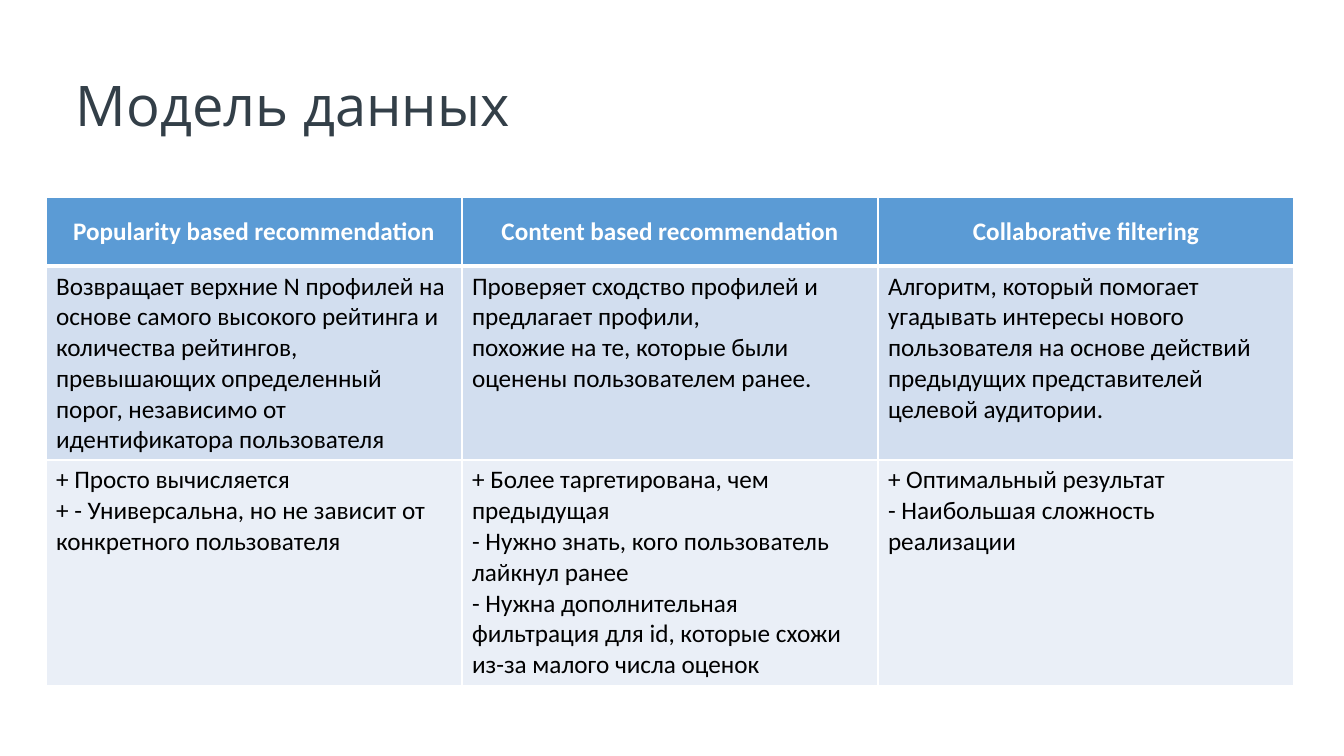
from dataclasses import dataclass

from lxml import etree
from pptx import Presentation
from pptx import util as u
from pptx.dml.color import RGBColor
from pptx.enum import text
from pptx.oxml.ns import qn

PX = 914400 / 100.8


@dataclass(frozen=True)
class Theme:
    title: dict
    header: dict
    body: dict
    fills: tuple
    border: str


THEME = Theme(
    title={"name": "Open Sans", "size": u.Pt(40), "bold": False, "color": "333F48"},
    header={"name": "Calibri", "size": u.Pt(18), "bold": True, "color": "FFFFFF"},
    body={"name": "Calibri", "size": u.Pt(18), "bold": False, "color": "000000"},
    fills=("5B9BD5", "D2DEEF", "EAEFF7"),
    border="FFFFFF",
)

TITLE = "Модель данных"
ROW_HEIGHTS = (69, 194, 226)
COLUMN_WIDTH = 416
# Each cell is a list of paragraphs.
MODELS = [
    [
        ["Popularity based recommendation"],
        ["Content based recommendation"],
        ["Collaborative filtering"],
    ],
    [
        ["Возвращает верхние N профилей на основе самого высокого рейтинга "
         "и количества рейтингов, ",
         "превышающих определенный порог, независимо от "
         "идентификатора пользователя"],
        ["Проверяет сходство профилей и предлагает профили, ",
         "похожие на те, которые были оценены пользователем ранее. "],
        ["Алгоритм, который помогает угадывать интересы нового пользователя "
         "на основе действий предыдущих представителей целевой аудитории."],
    ],
    [
        ["+ Просто вычисляется",
         "+ - Универсальна, но не зависит от конкретного пользователя"],
        ["+ Более таргетирована, чем предыдущая",
         "- Нужно знать, кого пользователь лайкнул ранее",
         "- Нужна дополнительная фильтрация для id, которые схожи "
         "из-за малого числа оценок"],
        ["+ Оптимальный результат",
         "- Наибольшая сложность реализации"],
    ],
]


def px(*lengths):
    return [u.Emu(round(n * PX)) for n in lengths]


def write(tf, paragraphs, style, align=text.PP_ALIGN.LEFT):
    for i, line in enumerate(paragraphs):
        p = tf.add_paragraph() if i else tf.paragraphs[0]
        p.alignment = align
        r = p.add_run()
        r.text = line
        for key, value in style.items():
            if key == "color":
                r.font.color.rgb = RGBColor.from_string(value)
            else:
                setattr(r.font, key, value)


def add_title(s, words, box):
    tf = s.shapes.add_textbox(*px(*box)).text_frame
    tf.word_wrap = True
    for side in ("left", "top", "right", "bottom"):
        setattr(tf, f"margin_{side}", 0)
    write(tf, [words], THEME.title)


def set_borders(cell, widths):
    tc_pr = cell._tc.get_or_add_tcPr()
    for i, (side, points) in enumerate(widths.items()):
        ln = etree.Element(qn(f"a:ln{side}"), w=str(u.Pt(points)))
        fill = etree.SubElement(ln, qn("a:solidFill"))
        etree.SubElement(fill, qn("a:srgbClr"), val=THEME.border)
        tc_pr.insert(i, ln)  # borders precede the fill


def add_model_table(s, rows, left, top):
    columns = len(rows[0])
    box = px(left, top, columns * COLUMN_WIDTH, sum(ROW_HEIGHTS))
    table = s.shapes.add_table(len(rows), columns, *box).table
    for column in table.columns:
        column.width = px(COLUMN_WIDTH)[0]
    for y, row in enumerate(rows):
        table.rows[y].height = px(ROW_HEIGHTS[y])[0]
        for x, paragraphs in enumerate(row):
            cell = table.cell(y, x)
            cell.fill.solid()
            cell.fill.fore_color.rgb = RGBColor.from_string(THEME.fills[y])
            widths = {"L": 1, "R": 1, "T": 3 if y == 1 else 1, "B": 1 if y else 3}
            set_borders(cell, widths)
            if y:
                write(cell.text_frame, paragraphs, THEME.body)
            else:
                cell.vertical_anchor = text.MSO_ANCHOR.MIDDLE
                write(cell.text_frame, paragraphs, THEME.header,
                      text.PP_ALIGN.CENTER)


def main():
    prs = Presentation()
    prs.slide_width, prs.slide_height = px(1344, 756)
    s = prs.slides.add_slide(prs.slide_layouts[6])

    # Heading
    add_title(s, TITLE, (76, 71, 1192, 214))

    # Comparison of the recommendation models
    add_model_table(s, MODELS, 46, 197)

    prs.save("out.pptx")


main()
